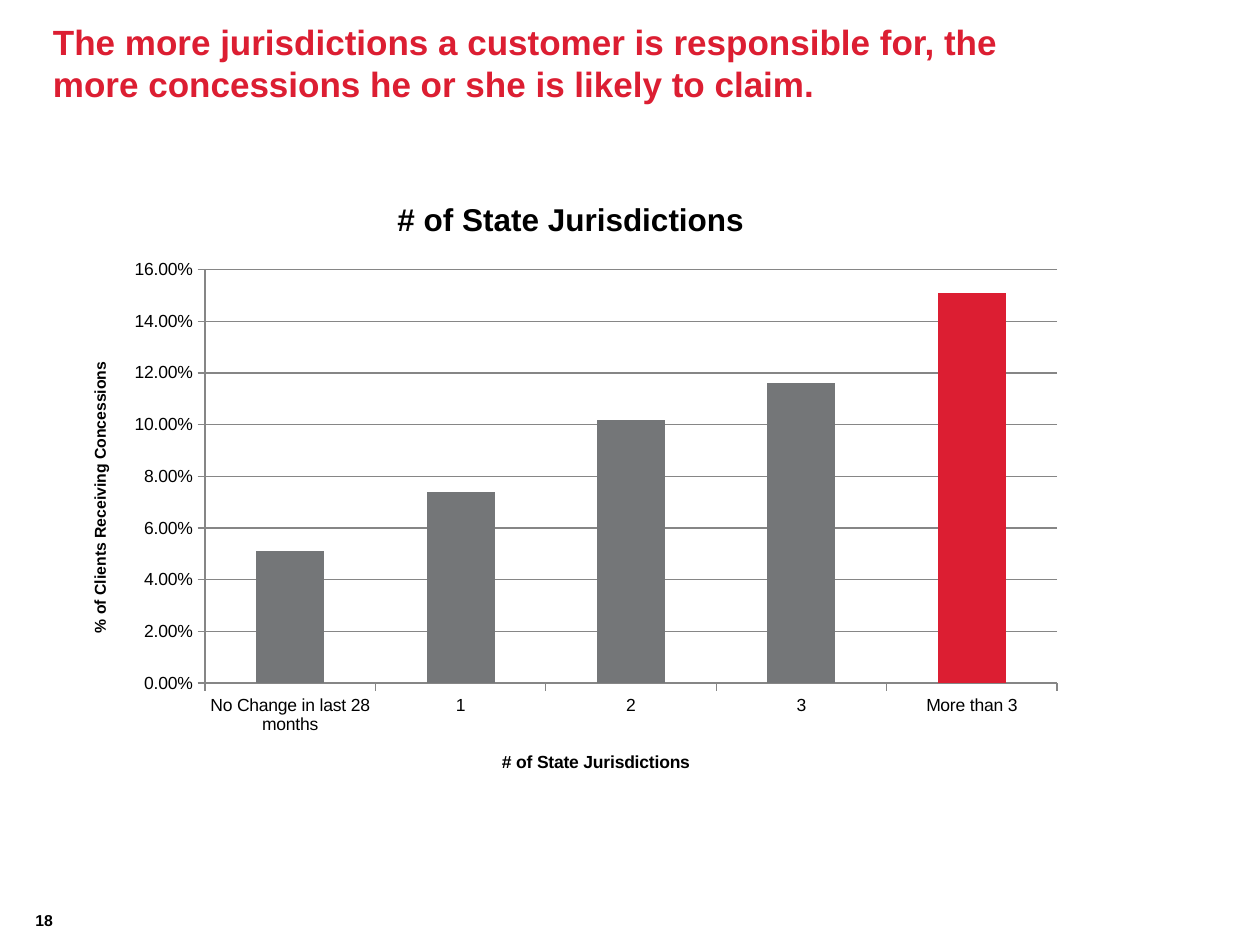
from dataclasses import dataclass

from pptx import Presentation
from pptx.chart.data import CategoryChartData
from pptx.dml.color import RGBColor
from pptx.enum.chart import XL_CHART_TYPE as ChartType, XL_TICK_MARK as TickMark
from pptx.enum.text import MSO_ANCHOR as Anchor, PP_ALIGN as Align
from pptx.util import Inches, Pt


@dataclass(frozen=True)
class Theme:
    font: str = "Arial"
    accent: str = "DC1E32"
    bar: str = "747678"
    line: str = "868686"
    text: str = "000000"
    title_size: int = 20
    chart_title_size: int = 18
    label_size: int = 10
    small_size: int = 9


class SlideBuilder:
    def __init__(self, presentation, theme):
        self.presentation = presentation
        self.theme = theme
        self.slide = presentation.slides.add_slide(presentation.slide_layouts[5])

    def box(self, left, top, width, height):
        page_width = self.presentation.slide_width
        page_height = self.presentation.slide_height
        return (int(left * page_width), int(top * page_height),
                int(width * page_width), int(height * page_height))

    def style_font(self, font, size, color, bold):
        font.name = self.theme.font
        font.size = Pt(size)
        font.bold = bold
        font.color.rgb = RGBColor.from_string(color)

    def fill_text(self, shape, text, size, color, align, anchor):
        frame = shape.text_frame
        frame.text = text
        frame.word_wrap = True
        frame.vertical_anchor = anchor
        frame.margin_left = frame.margin_right = 0
        frame.margin_top = frame.margin_bottom = 0
        paragraph = frame.paragraphs[0]
        paragraph.alignment = align
        self.style_font(paragraph.runs[0].font, size, color, True)

    def title(self, text, *area):
        shape = self.slide.shapes.title
        shape.left, shape.top, shape.width, shape.height = self.box(*area)
        self.fill_text(shape, text, self.theme.title_size, self.theme.accent,
                       Align.LEFT, Anchor.MIDDLE)

    def page_number(self, text, *area):
        shape = self.slide.shapes.add_textbox(*self.box(*area))
        self.fill_text(shape, text, self.theme.small_size, self.theme.text,
                       Align.RIGHT, Anchor.BOTTOM)

    def caption(self, owner, text, size):
        frame = (owner.chart_title if hasattr(owner, "chart_title")
                 else owner.axis_title).text_frame
        frame.text = text
        self.style_font(frame.paragraphs[0].runs[0].font, size, self.theme.text, True)

    def style_line(self, line):
        line.color.rgb = RGBColor.from_string(self.theme.line)
        line.width = Pt(0.75)

    def axis(self, axis, title, size):
        self.caption(axis, title, size)
        axis.major_tick_mark = TickMark.OUTSIDE
        axis.minor_tick_mark = TickMark.NONE
        self.style_line(axis.format.line)

    def column_chart(self, title, value_title, values, highlight, *area):
        theme = self.theme
        data = CategoryChartData(number_format="0.00%")
        data.categories = list(values)
        data.add_series("Series 1", list(values.values()))
        chart = self.slide.shapes.add_chart(
            ChartType.COLUMN_CLUSTERED, *self.box(*area), data).chart
        self.style_font(chart.font, theme.label_size, theme.text, False)
        chart.has_legend = False
        self.caption(chart, title, theme.chart_title_size)
        self.axis(chart.category_axis, title, theme.label_size)

        value_axis = chart.value_axis
        self.axis(value_axis, value_title, theme.small_size)
        value_axis.minimum_scale = 0
        value_axis.maximum_scale = 0.16
        value_axis.major_unit = 0.02
        value_axis.tick_labels.number_format = "0.00%"
        value_axis.tick_labels.number_format_is_linked = False
        value_axis.has_major_gridlines = True
        self.style_line(value_axis.major_gridlines.format.line)

        plot = chart.plots[0]
        plot.gap_width = 150
        plot.vary_by_categories = False
        series = plot.series[0]
        self.fill_bar(series, theme.accent)
        for index, category in enumerate(values):
            if category != highlight:
                self.fill_bar(series.points[index], theme.bar)

    def fill_bar(self, bar, color):
        bar.format.fill.solid()
        bar.format.fill.fore_color.rgb = RGBColor.from_string(color)


def main():
    presentation = Presentation()
    presentation.slide_width = Inches(10)
    presentation.slide_height = Inches(7.5)
    builder = SlideBuilder(presentation, Theme())
    builder.title(
        "The more jurisdictions a customer is responsible for, "
        "the more concessions he or she is likely to claim.",
        0.042, 0, 0.814, 0.132)
    builder.page_number("18", 0.01, 0.931, 0.032, 0.053)
    concession_rates = {
        "No Change in last 28 months": 0.051,
        "1": 0.074,
        "2": 0.102,
        "3": 0.116,
        "More than 3": 0.151,
    }
    builder.column_chart(
        "# of State Jurisdictions", "% of Clients Receiving Concessions",
        concession_rates, "More than 3", 0.051, 0.184, 0.804, 0.661)
    presentation.save("out.pptx")


if __name__ == "__main__":
    main()
